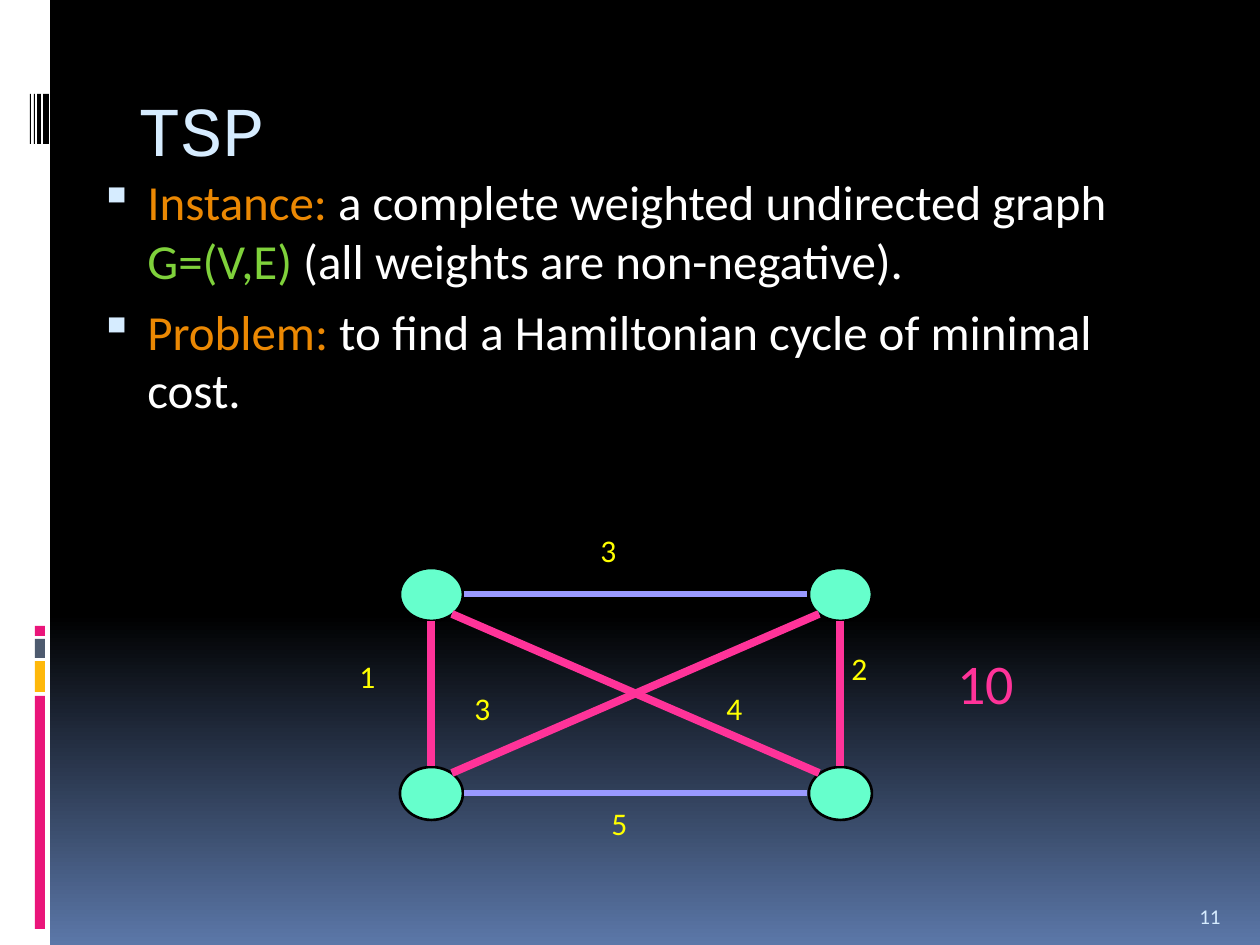
import pptx
import pptx.dml.color
import pptx.enum.shapes
import pptx.enum.text
import pptx.util
from lxml import etree
from pptx.oxml.ns import qn

RGB = pptx.dml.color.RGBColor
BLACK = RGB(0x00, 0x00, 0x00)
WHITE = RGB(0xFF, 0xFF, 0xFF)
DUSK = RGB(0x5B, 0x77, 0xA8)
PALE = RGB(0xD6, 0xEC, 0xFF)
MAGENTA = RGB(0xEA, 0x15, 0x7A)
AMBER = RGB(0xFE, 0xB8, 0x0A)
SLATE = RGB(0x4E, 0x5B, 0x6F)
ORANGE = RGB(0xEB, 0x88, 0x03)
GREEN = RGB(0x7F, 0xD1, 0x3B)
MINT = RGB(0x66, 0xFF, 0xCC)
LILAC = RGB(0x99, 0x99, 0xFF)
PINK = RGB(0xFF, 0x33, 0x99)
YELLOW = RGB(0xFF, 0xFF, 0x00)

SHAPE = pptx.enum.shapes.MSO_SHAPE
ANCHOR = pptx.enum.text.MSO_ANCHOR
PX_PER_INCH = 126


def px(n):
    return pptx.util.Emu(round(n * 914400 / PX_PER_INCH))


class Deck:
    font = "Calibri"

    def __init__(self, width, height):
        self.prs = pptx.Presentation()
        self.prs.slide_width, self.prs.slide_height = px(width), px(height)
        self.s = self.prs.slides.add_slide(self.prs.slide_layouts[6])

    def background(self, top, bottom, start):
        fill = self.s.background.fill
        fill.gradient()
        fill.gradient_angle = 270
        first, last = fill.gradient_stops
        first.color.rgb, first.position = top, start
        last.color.rgb, last.position = bottom, 1

    def shape(self, kind, x, y, w, h, fill, line=None):
        sp = self.s.shapes.add_shape(kind, px(x), px(y), px(w), px(h))
        sp.shadow.inherit = False
        sp.fill.solid()
        sp.fill.fore_color.rgb = fill
        if line is None:
            sp.line.fill.background()
        else:
            sp.line.color.rgb = line
            sp.line.width = pptx.util.Pt(1.5)

    def line(self, start, end, color, width):
        c = self.s.shapes.add_connector(
            pptx.enum.shapes.MSO_CONNECTOR.STRAIGHT,
            *(px(n) for n in (*start, *end)))
        c.line.color.rgb = color
        c.line.width = pptx.util.Pt(width)
        etree.SubElement(c.element.spPr, qn("a:effectLst"))

    def text(self, x, y, w, h, paragraphs, size, font=None,
             anchor=ANCHOR.MIDDLE, bullet=None, spacing=None):
        tf = self.s.shapes.add_textbox(px(x), px(y), px(w), px(h)).text_frame
        tf.word_wrap = True
        tf.vertical_anchor = anchor
        for i, runs in enumerate(paragraphs):
            p = tf.add_paragraph() if i else tf.paragraphs[0]
            if bullet:
                self.bullet(p, bullet)
            if spacing:
                p.line_spacing = spacing
            if i:
                p.space_before = pptx.util.Pt(7)
            for words, color in runs:
                r = p.add_run()
                r.text = words
                r.font.name = font or self.font
                r.font.size = pptx.util.Pt(size)
                r.font.color.rgb = color

    def bullet(self, p, color):
        pPr = p._p.get_or_add_pPr()
        pPr.set("marL", str(px(57)))
        pPr.set("indent", str(-px(48)))
        clr = etree.SubElement(pPr, qn("a:buClr"))
        etree.SubElement(clr, qn("a:srgbClr"), val=str(color))
        etree.SubElement(pPr, qn("a:buSzPct"), val="95000")
        etree.SubElement(pPr, qn("a:buChar"), char="▪")


def edge_ends(a, b):
    """Trim the line between two node centres to the node outlines."""
    dx = (b[0] > a[0]) - (b[0] < a[0])
    dy = (b[1] > a[1]) - (b[1] < a[1])
    gap_x, gap_y = (21, 20) if dx and dy else (33, 27)
    return ((a[0] + dx * gap_x, a[1] + dy * gap_y),
            (b[0] - dx * gap_x, b[1] - dy * gap_y))


def main():
    deck = Deck(1260, 945)
    deck.background(BLACK, DUSK, 0.65)

    # Side strip with colour blocks and barcode
    deck.shape(SHAPE.RECTANGLE, 0, 0, 50, 945, WHITE)
    for y, h, color in ((696, 233, MAGENTA), (661, 31, AMBER),
                        (639, 19, SLATE), (626, 10, MAGENTA)):
        deck.shape(SHAPE.RECTANGLE, 35, y, 10, h, color)
    for x, w in ((43, 6), (37, 4), (34, 1), (30, 1)):
        deck.shape(SHAPE.RECTANGLE, x, 94, w, 50, BLACK)

    # Title, body and slide number
    deck.text(126, 71, 1071, 126, [[("TSP", PALE)]], 40,
              font="Courier New", spacing=0.9)
    deck.text(78, 165, 1103, 273, [
        [("Instance:", ORANGE),
         (" a complete weighted undirected graph ", WHITE),
         ("G=(V,E)", GREEN),
         (" (all weights are non-negative).", WHITE)],
        [("Problem:", ORANGE),
         (" to find a Hamiltonian cycle of minimal cost.", WHITE)],
    ], 28, anchor=ANCHOR.TOP, bullet=PALE)
    deck.text(1187, 885, 63, 50, [[("11", PALE)]], 12, anchor=ANCHOR.BOTTOM)

    # Graph nodes
    left, right, top, bottom = 431, 840, 594, 793
    tl, tr, bl, br = [(x, y) for y in (top, bottom) for x in (left, right)]
    for x, y in (tl, tr, bl, br):
        deck.shape(SHAPE.OVAL, x - 31, y - 26, 63, 53, MINT, BLACK)

    # All edges, then the weights, then the minimal tour on top
    for a, b in ((tl, bl), (tl, tr), (br, bl), (br, tr), (tl, br), (tr, bl)):
        deck.line(*edge_ends(a, b), LILAC, 3)
    for weight, x, y in (("3", 588, 525), ("4", 714, 683), ("3", 462, 683),
                         ("2", 839, 643), ("5", 599, 798), ("1", 347, 651)):
        deck.text(x, y, 84, 50, [[(weight, YELLOW)]], 18)
    for a, b in ((br, tr), (tl, br), (tl, bl), (tr, bl)):
        deck.line(*edge_ends(a, b), PINK, 4.5)

    # Tour cost
    deck.text(945, 643, 147, 79, [[("10", PINK)]], 32)

    deck.prs.save("out.pptx")


if __name__ == "__main__":
    main()
